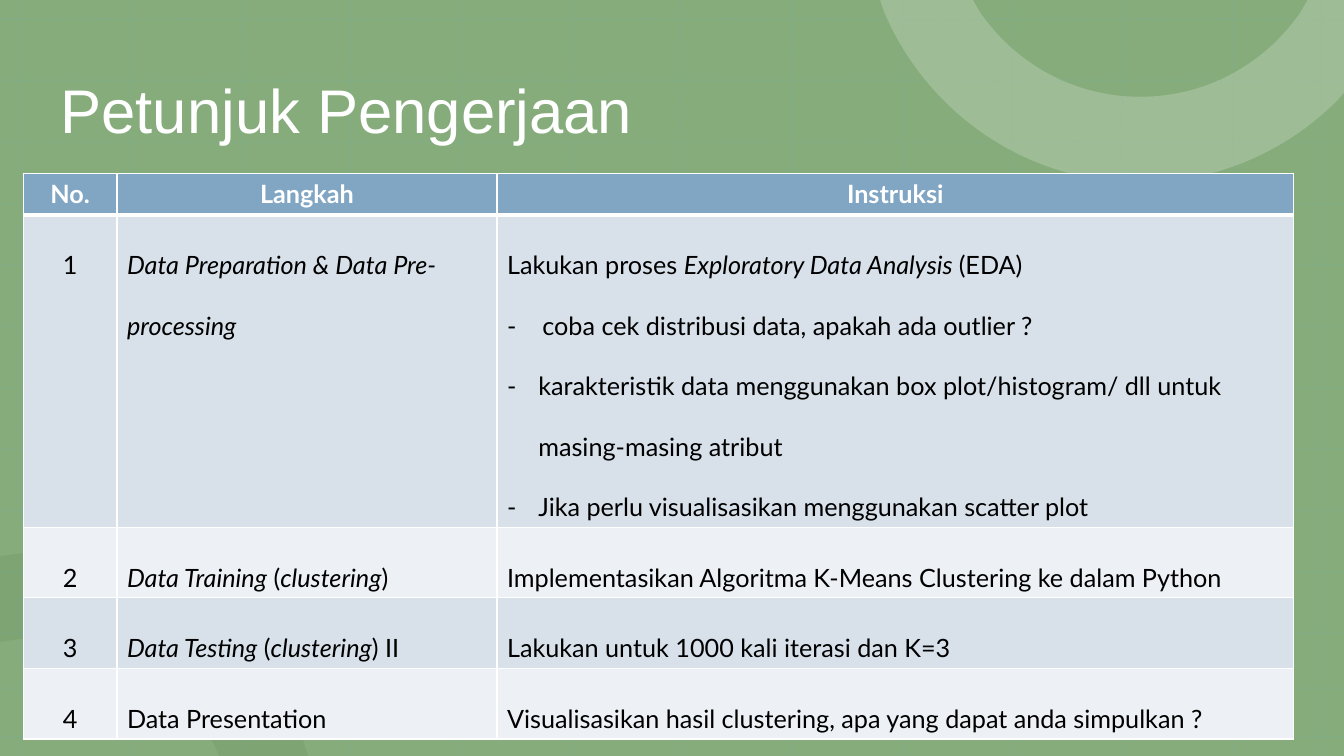
import pptx
import pptx.util
import pptx.dml.color
import pptx.enum.dml
import pptx.enum.shapes
import pptx.enum.text
import pptx.oxml
import pptx.oxml.ns
from lxml import etree

Inches, Pt = pptx.util.Inches, pptx.util.Pt
ALIGN = pptx.enum.text.PP_ALIGN
qn = pptx.oxml.ns.qn

# Content: a cell is a list of paragraphs (kind, runs); a run is (text, italic)
TITLE = "Petunjuk Pengerjaan"
HEADS = ["No.", "Langkah", "Instruksi"]
BREAK = ("\n", False)


def line(text, slant=False):
    return [("plain", [(text, slant)])]


def step(name, tail):
    return [("plain", [(name, True), (" (", False), ("clustering", True), (tail, False)])]


ROWS = [
    [line("1"), line("Data Preparation & Data Pre-processing", True), [
        ("tab", [("Lakukan proses ", False), ("Exploratory Data Analysis ", True),
                 ("(EDA) ", False), BREAK,
                 ("-\tcoba cek distribusi data, apakah ada outlier ?", False)]),
        ("dash", [("karakteristik data menggunakan box plot/histogram/ dll "
                   "untuk masing-masing atribut", False)]),
        ("dash", [("Jika perlu visualisasikan menggunakan scatter plot", False)])]],
    [line("2"), step("Data Training", ")"),
     line("Implementasikan Algoritma K-Means Clustering ke dalam Python")],
    [line("3"), step("Data Testing", ") II"),
     line("Lakukan untuk 1000 kali iterasi dan K=3")],
    [line("4"), line("Data Presentation"),
     line("Visualisasikan hasil clustering, apa yang dapat anda simpulkan ?")],
]
WIDTHS = [0.93, 3.77, 7.9]
TALL = 0.41
COLORS = {"back": "86AC7B", "grid": "6EADAF", "dark": "618855", "light": "B6CDB0",
          "head": "81A6C4", "odd": "D8E1EA", "even": "EDF1F5",
          "white": "FFFFFF", "black": "000000"}

# Rings: (colour, opacity, start, segments); two numbers a line, six a curve
RINGS = [
    ("dark", 20, (0.4, 5.48), [
        (1.64, 5.48, 2.69, 6.3, 3.03, 7.42), (3.06, 7.5), (2.17, 7.5), (2.17, 7.49),
        (1.88, 6.81, 1.2, 6.33, 0.4, 6.33), (0.27, 6.33, 0.14, 6.34, 0.02, 6.37),
        (-0.01, 6.37), (-0.01, 5.52), (0.12, 5.5), (0.21, 5.49, 0.31, 5.48, 0.4, 5.48)]),
    ("light", 50, (8.73, 0), [
        (9.65, 0), (9.72, 0.12), (10.07, 0.63, 10.65, 0.96, 11.31, 0.96),
        (11.97, 0.96, 12.55, 0.63, 12.9, 0.12), (12.97, 0), (13.33, 0), (13.33, 0.92),
        (13.26, 1), (12.76, 1.5, 12.07, 1.81, 11.31, 1.81),
        (10.17, 1.81, 9.19, 1.11, 8.77, 0.12)]),
]
WIDE, HIGH = 13.33, 7.5
XS = [0.2 + 12.03 / 11 * i for i in range(12)] + [13.11]
YS = [0.19 + 0.609 * i for i in range(11)] + [6.83, 7.31]


def rgb(name):
    return pptx.dml.color.RGBColor.from_string(COLORS[name])


def fade(shape, share):
    """Set the opacity of the shape's first colour, in percent."""
    tint = next(shape.element.spPr.iter(qn("a:srgbClr")))
    etree.SubElement(tint, qn("a:alpha")).set("val", str(share * 1000))


def flat(shape, color):
    shape.shadow.inherit = False
    shape.fill.solid()
    shape.fill.fore_color.rgb = rgb(color)
    shape.line.fill.background()


def rule(grid, x1, y1, x2, y2):
    link = grid.shapes.add_connector(1, *map(Inches, (x1, y1, x2, y2)))
    link.line.color.rgb = rgb("grid")
    link.line.width = Pt(1.5)
    link.line.dash_style = pptx.enum.dml.MSO_LINE.ROUND_DOT
    fade(link, 20)
    etree.SubElement(link.element.spPr, qn("a:effectLst"))


def ring(slide, color, share, start, parts):
    """Join the end points by lines, then bend those that are curves."""
    pen = slide.shapes.build_freeform(*map(Inches, start))
    pen.add_line_segments([tuple(map(Inches, part[-2:])) for part in parts], close=True)
    shape = pen.convert_to_shape()
    edges = list(shape.element.spPr.iter(qn("a:lnTo")))
    for edge, part in zip(edges, parts):
        if len(part) == 6:
            curve = etree.Element(qn("a:cubicBezTo"))
            for x, y in zip(part[::2], part[1::2]):
                etree.SubElement(curve, qn("a:pt"), x=str(Inches(x) - shape.left),
                                 y=str(Inches(y) - shape.top))
            edge.getparent().replace(edge, curve)
    flat(shape, color)
    fade(shape, share)


def style(font, face, size, color):
    font.name, font.size, font.color.rgb = face, Pt(size), rgb(color)


def paint(cell, color, base):
    """Draw the cell's borders, then its fill."""
    props = cell._tc.get_or_add_tcPr()
    for side, width in zip("LRTB", (1, 1, 1, base)):
        edge = etree.SubElement(props, qn("a:ln" + side), w=str(Pt(width)))
        fill = etree.SubElement(edge, qn("a:solidFill"))
        etree.SubElement(fill, qn("a:srgbClr"), val=COLORS["white"])
    cell.fill.solid()
    cell.fill.fore_color.rgb = rgb(color)


def mark(para, kind):
    """Give the paragraph its dash bullet or its tab stop."""
    props = para._p.get_or_add_pPr()
    if kind == "dash":
        props.set("marL", str(Inches(0.31)))
        props.set("indent", str(-Inches(0.31)))
        etree.SubElement(props, qn("a:buFont"), typeface="Lato")
        etree.SubElement(props, qn("a:buChar"), char="-")
    elif kind == "tab":
        stops = etree.SubElement(props, qn("a:tabLst"))
        etree.SubElement(stops, qn("a:tab"), pos=str(Inches(0.35)), algn="l")


def write(cell, paras, head, middle):
    for n, (kind, runs) in enumerate(paras):
        para = cell.text_frame.add_paragraph() if n else cell.text_frame.paragraphs[0]
        para.alignment = ALIGN.CENTER if middle else ALIGN.LEFT
        if not head:
            para.line_spacing = 2.0
        mark(para, kind)
        for text, slant in runs:
            if (text, slant) == BREAK:
                para.add_line_break()
                continue
            run = para.add_run()
            run.text = text
            style(run.font, "Lato", 18, "white" if head else "black")
            run.font.bold, run.font.italic = head, slant


def main():
    deck = pptx.Presentation()
    deck.slide_width, deck.slide_height = Inches(WIDE), Inches(HIGH)
    slide = deck.slides.add_slide(deck.slide_layouts[5])

    # Backdrop, dotted grid and rings
    back = slide.shapes.add_shape(pptx.enum.shapes.MSO_SHAPE.RECTANGLE,
                                  0, 0, Inches(WIDE), Inches(HIGH))
    flat(back, "back")
    grid = slide.shapes.add_group_shape()
    for x in XS:
        rule(grid, x, 0, x, HIGH)
    for y in YS:
        rule(grid, 0, y, WIDE, y)
    for item in RINGS:
        ring(slide, *item)

    # Title, brought in front of the backdrop
    title = slide.shapes.title
    title.element.getparent().append(title.element)
    title.left, title.top, title.width, title.height = map(Inches, (0.5, 0.4, 11.73, 1.45))
    title.text_frame.vertical_anchor = pptx.enum.text.MSO_ANCHOR.MIDDLE
    para = title.text_frame.paragraphs[0]
    para.alignment, para.line_spacing = ALIGN.LEFT, 0.9
    run = para.add_run()
    run.text = TITLE
    style(run.font, "Arial", 44, "white")

    # Table of steps; rows grow with their text
    cells = [[line(head) for head in HEADS]] + ROWS
    frame = slide.shapes.add_table(
        len(cells), len(HEADS), Inches(0.23), Inches(1.72),
        Inches(sum(WIDTHS)), Inches(TALL * len(cells)))
    table = frame.table
    table.horz_banding = False
    for col, width in zip(table.columns, WIDTHS):
        col.width = Inches(width)
    for r, row in enumerate(cells):
        color = "head" if r == 0 else "odd" if r % 2 else "even"
        for c, paras in enumerate(row):
            paint(table.cell(r, c), color, 1 if r else 3)
            write(table.cell(r, c), paras, r == 0, r == 0 or c == 0)
    frame.height = Inches(5.25)

    deck.save("out.pptx")


if __name__ == "__main__":
    main()
